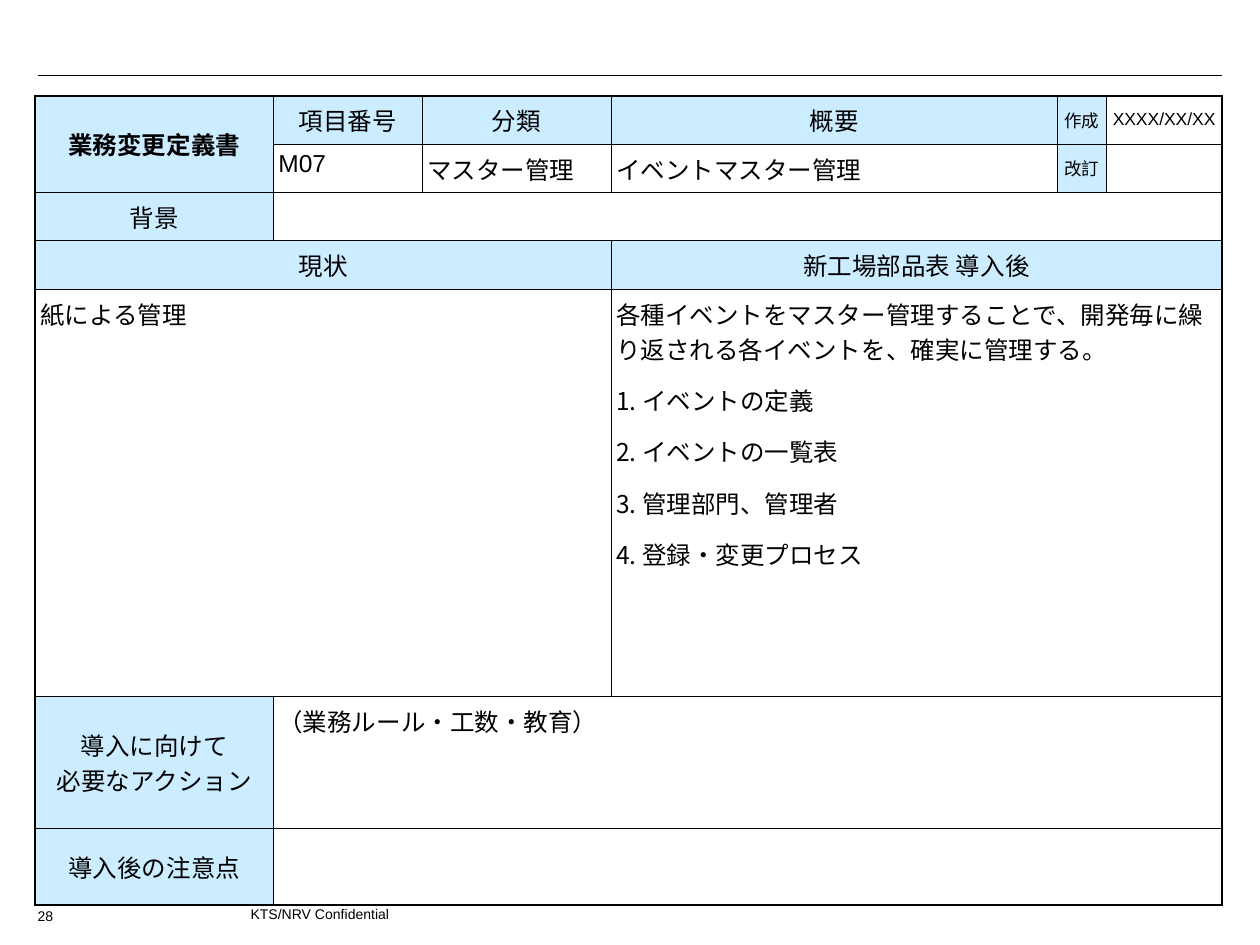
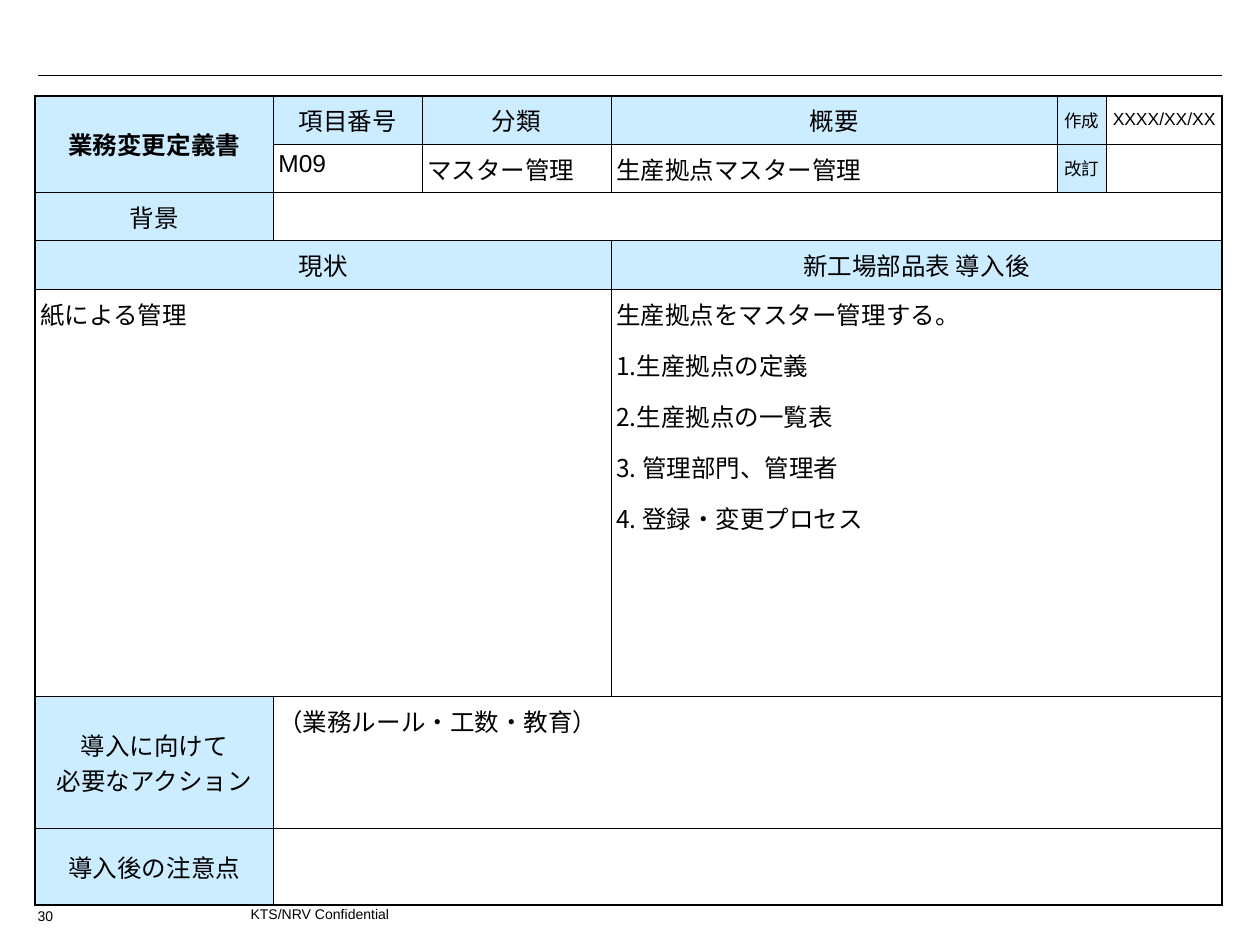
from dataclasses import dataclass

from lxml.etree import SubElement
from pptx import Presentation
from pptx.dml.color import RGBColor
from pptx.enum.shapes import MSO_CONNECTOR
from pptx.enum.text import MSO_ANCHOR, PP_ALIGN
from pptx.oxml.ns import qn
from pptx.util import Inches, Pt

# Content: one record per definition sheet
SHEETS = [
    {
        "page": "28",
        "item": "M07",
        "summary": "イベントマスター管理",
        "after": [
            "各種イベントをマスター管理することで、開発毎に繰り返される各イベントを、確実に管理する。",
            "1. イベントの定義",
            "2. イベントの一覧表",
            "3. 管理部門、管理者",
            "4. 登録・変更プロセス",
        ],
    },
    {
        "page": "30",
        "item": "M09",
        "summary": "生産拠点マスター管理",
        "after": [
            "生産拠点をマスター管理する。",
            "1.生産拠点の定義",
            "2.生産拠点の一覧表",
            "3. 管理部門、管理者",
            "4. 登録・変更プロセス",
        ],
    },
]
FOOTER = "KTS/NRV Confidential"

# Grid of the sheet, in inches
COLUMNS = [1.89, 1.18, 1.5, 3.54, 0.39, 0.92]
ROWS = [0.31, 0.31, 0.32, 0.31, 3.23, 1.05, 0.61]
TABLE_LEFT, TABLE_TOP = 0.28, 0.76


@dataclass(frozen=True)
class Theme:
    ink: RGBColor = RGBColor(0x00, 0x00, 0x00)
    label_fill: RGBColor = RGBColor(0xCC, 0xEC, 0xFF)
    font: str = "Arial"
    japanese_font: str = "Noto Sans CJK JP"
    text: float = 14
    small: float = 10
    footer: float = 8
    gap: float = 8.8
    rule: float = 0.75
    inner: float = 0.45
    outer: float = 1.08


THEME = Theme()


@dataclass
class Field:
    """One cell of the sheet, possibly spanning several grid cells."""
    row: int
    column: int
    lines: list
    label: bool = False
    row_span: int = 1
    column_span: int = 1
    size: float = THEME.text
    font: str = THEME.font
    bold: bool = False
    centred: bool = False
    middle: bool = False
    gap: float = THEME.gap
    side_inset: float = 0.04


def label(row, column, *lines, **options):
    return Field(row, column, list(lines), label=True, centred=True, middle=True, **options)


def sheet_fields(sheet):
    stamp = {"size": THEME.small, "side_inset": 0.02}
    return [
        # Heading rows
        label(0, 0, "業務変更定義書", row_span=2, bold=True),
        label(0, 1, "項目番号"),
        label(0, 2, "分類"),
        label(0, 3, "概要"),
        label(0, 4, "作成", **stamp),
        Field(0, 5, ["XXXX/XX/XX"], size=THEME.small, centred=True, middle=True),
        Field(1, 1, [sheet["item"]]),
        Field(1, 2, ["マスター管理"], middle=True),
        Field(1, 3, [sheet["summary"]], middle=True),
        label(1, 4, "改訂", **stamp),
        Field(1, 5, []),
        # Background
        label(2, 0, "背景"),
        Field(2, 1, [], column_span=5),
        # Before and after
        label(3, 0, "現状", column_span=3),
        label(3, 3, "新工場部品表 導入後", column_span=3),
        Field(4, 0, ["紙による管理"], column_span=3),
        Field(4, 3, sheet["after"], column_span=3, font=THEME.japanese_font),
        # Actions and cautions
        label(5, 0, "導入に向けて", "必要なアクション", gap=0),
        Field(5, 1, ["（業務ルール・工数・教育）"], column_span=5),
        label(6, 0, "導入後の注意点"),
        Field(6, 1, [], column_span=5),
    ]


def style_paragraph(para, size, name=THEME.font, bold=False):
    para.font.size = Pt(size)
    para.font.bold = bold
    para.font.color.rgb = THEME.ink
    para.font.name = name
    defaults = para._p.get_or_add_pPr().find(qn("a:defRPr"))
    SubElement(defaults, qn("a:ea"), typeface=THEME.japanese_font)


def set_borders(cell, widths):
    properties = cell._tc.get_or_add_tcPr()
    for index, (side, width) in enumerate(widths.items()):
        line = SubElement(properties, qn(f"a:ln{side}"), w=str(int(Pt(width))))
        fill = SubElement(line, qn("a:solidFill"))
        SubElement(fill, qn("a:srgbClr"), val=str(THEME.ink))
        properties.insert(index, line)


def fill_field(table, field):
    last_row = field.row + field.row_span - 1
    last_column = field.column + field.column_span - 1
    cell = table.cell(field.row, field.column)
    if field.row_span * field.column_span > 1:
        cell.merge(table.cell(last_row, last_column))

    # Text
    cell.margin_left = cell.margin_right = Inches(field.side_inset)
    cell.margin_top = cell.margin_bottom = Inches(0.05)
    cell.vertical_anchor = MSO_ANCHOR.MIDDLE if field.middle else MSO_ANCHOR.TOP
    frame = cell.text_frame
    for index, line in enumerate(field.lines):
        para = frame.add_paragraph() if index else frame.paragraphs[0]
        para.text = line
        para.alignment = PP_ALIGN.CENTER if field.centred else PP_ALIGN.LEFT
        para.space_before = Pt(field.gap if index else 0)
        style_paragraph(para, field.size, field.font, field.bold)
    if not field.lines:
        SubElement(frame.paragraphs[0]._p, qn("a:endParaRPr"), sz=str(THEME.text * 100))

    # Fill and borders, heavier on the outside of the table
    def weight(at_edge):
        return THEME.outer if at_edge else THEME.inner

    widths = {
        "L": weight(field.column == 0),
        "R": weight(last_column == len(COLUMNS) - 1),
        "T": weight(field.row == 0),
        "B": weight(last_row == len(ROWS) - 1),
    }
    for row in range(field.row, last_row + 1):
        for column in range(field.column, last_column + 1):
            part = table.cell(row, column)
            if field.label:
                part.fill.solid()
                part.fill.fore_color.rgb = THEME.label_fill
            else:
                part.fill.background()
            set_borders(part, widths)


def add_table(page, sheet):
    frame = page.shapes.add_table(
        len(ROWS), len(COLUMNS), Inches(TABLE_LEFT), Inches(TABLE_TOP),
        Inches(sum(COLUMNS)), Inches(sum(ROWS)))
    table = frame.table
    table.first_row = table.horz_banding = False
    for column, width in zip(table.columns, COLUMNS):
        column.width = Inches(width)
    for row, height in zip(table.rows, ROWS):
        row.height = Inches(height)
    for field in sheet_fields(sheet):
        fill_field(table, field)


def add_header_rule(page):
    rule = page.shapes.add_connector(
        MSO_CONNECTOR.STRAIGHT, Inches(0.3), Inches(0.6), Inches(9.7), Inches(0.6))
    rule.line.color.rgb = THEME.ink
    rule.line.width = Pt(THEME.rule)
    SubElement(rule._element.spPr, qn("a:effectLst"))


def add_footer_text(page, text, left, top, width):
    box = page.shapes.add_textbox(Inches(left), Inches(top), Inches(width), Inches(0.2))
    box.text_frame.word_wrap = True
    para = box.text_frame.paragraphs[0]
    para.text = text
    style_paragraph(para, THEME.footer)


def main():
    deck = Presentation()
    deck.slide_width, deck.slide_height = Inches(10), Inches(7.5)
    blank = deck.slide_layouts[6]
    for sheet in SHEETS:
        page = deck.slides.add_slide(blank)
        add_header_rule(page)
        add_table(page, sheet)
        add_footer_text(page, FOOTER, 1.89, 7.14, 6.5)
        add_footer_text(page, sheet["page"], 0.2, 7.15, 0.4)
    deck.save("out.pptx")


if __name__ == "__main__":
    main()
